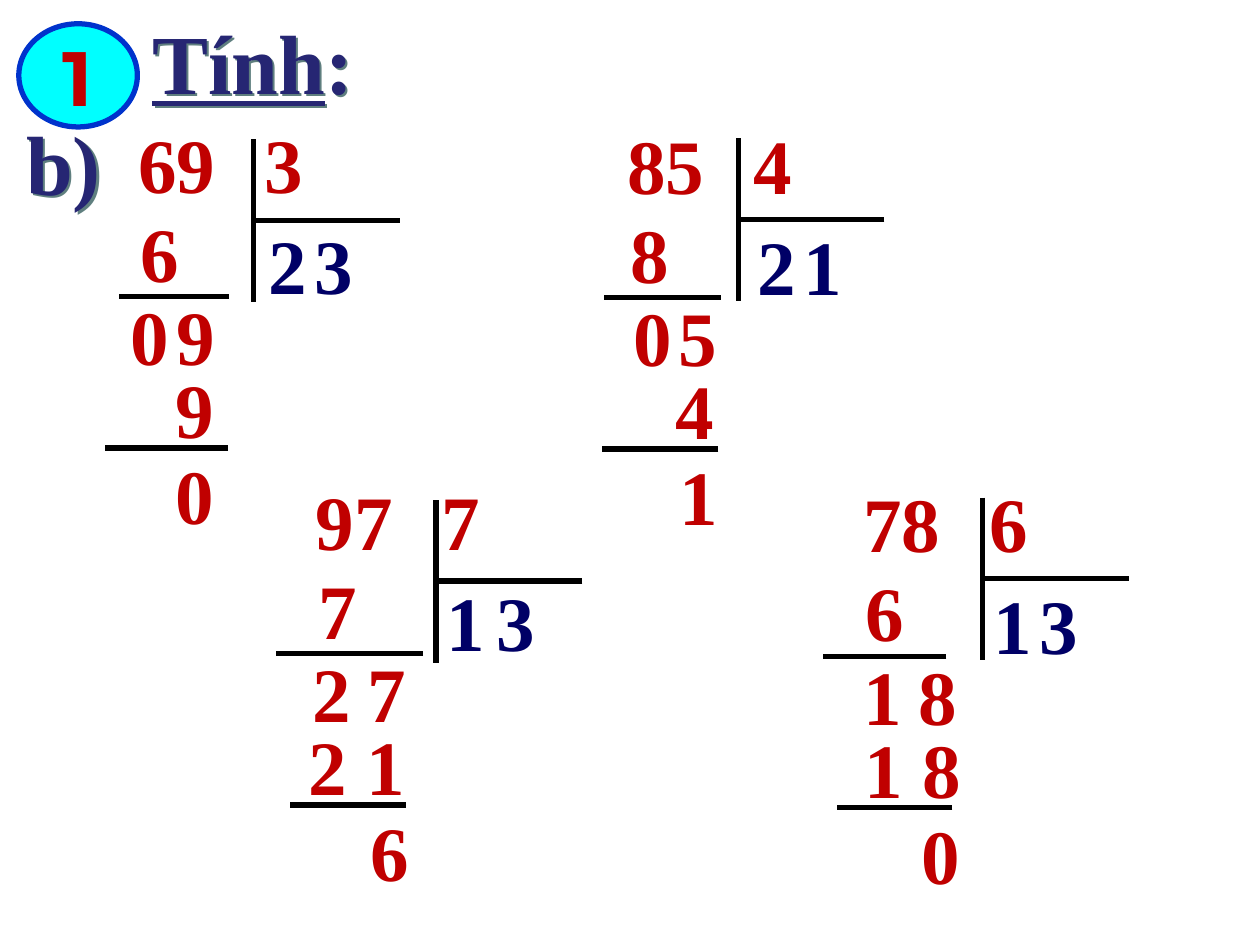
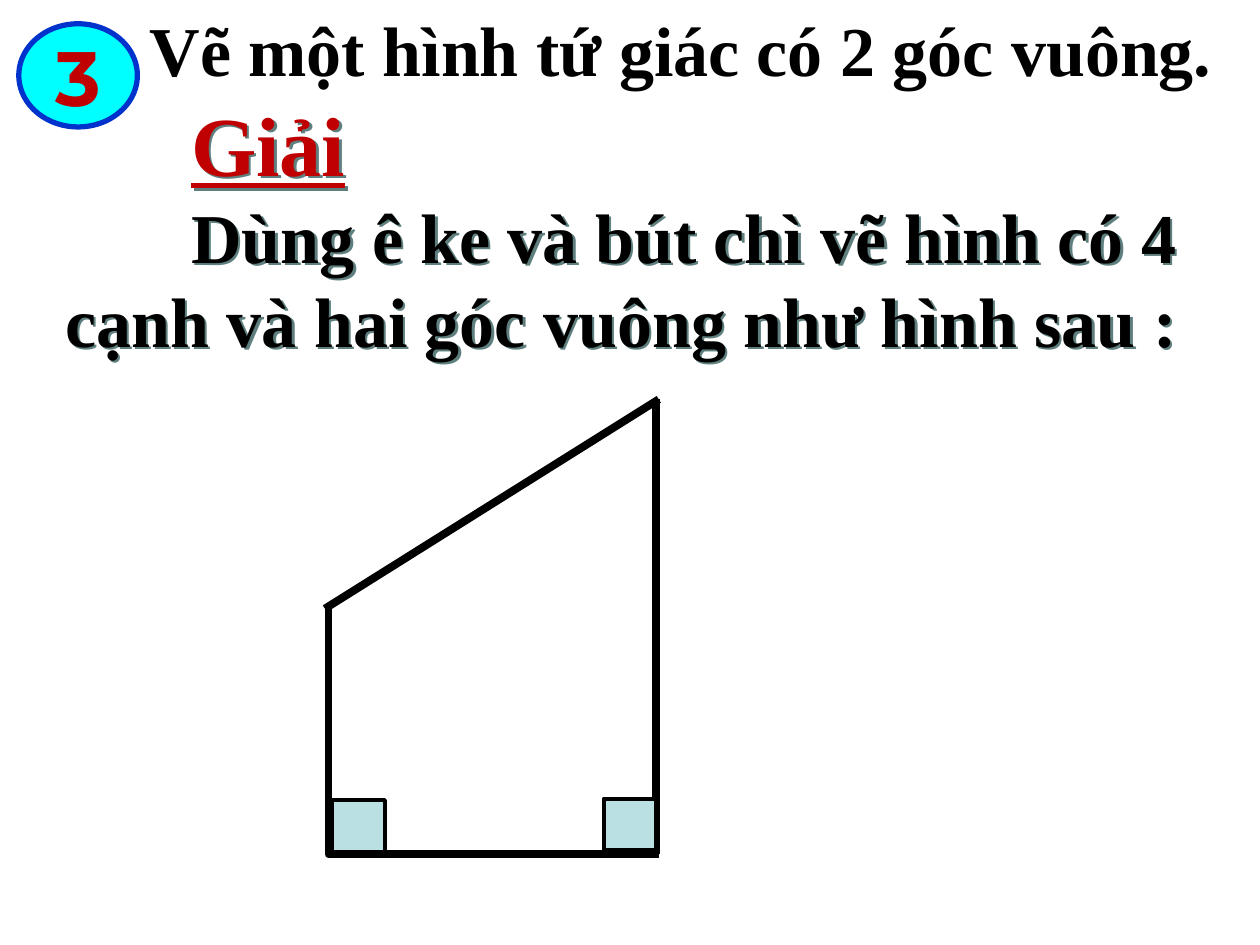
from dataclasses import dataclass

from lxml import etree
from pptx import Presentation
from pptx.dml.color import RGBColor
from pptx.enum import shapes, text
from pptx.oxml.ns import qn
from pptx.util import Cm, Pt

BLACK = RGBColor(0x00, 0x00, 0x00)
RED = RGBColor(0xC0, 0x00, 0x00)
NAVY = RGBColor(0x00, 0x00, 0x66)
INDIGO = RGBColor(0x26, 0x26, 0x73)
CYAN = RGBColor(0x00, 0xFF, 0xFF)
BLUE = RGBColor(0x00, 0x33, 0xCC)
PALE = RGBColor(0xBB, 0xE0, 0xE3)
SHADOW = "5F7F7F"
SERIF, BADGE_FONT = "Times New Roman", "Montserrat"

WIDE, DIGIT, LINE_HEIGHT = 8.69, 2.34, 2.13
SPACE = 0.39
COLUMN = 3.32  # from the start of a line to the divisor or the quotient
RULE_ROWS = (3.76, 6.81)


@dataclass
class Division:
    """A long division; x, y is the top left of the dividend's text box.

    Tens and last steps are (text, left, indent in spaces).
    """
    x: float
    y: float
    bar: tuple
    given: str
    quotient: tuple
    quotient_ones: float
    product: str
    tens: tuple
    ones: tuple
    second: tuple
    rest: tuple
    rules: tuple


DIVISIONS = [
    Division(2.54, 2.22, (5.11, 2.81), "69\t3", ("2", "3"), 5.56, "6",
             ("0", 2.39, 0), ("9", 2.77), ("9", 2.11, 3), ("0", 2.51, 2),
             ((2.39, 4.62), (2.11, 4.6))),
    Division(12.4, 2.24, (14.88, 2.79), "85\t4", ("2", "1"), 15.42, "8",
             ("0", 12.14, 1), ("5", 12.9), ("4", 12.19, 3), ("1", 12.67, 2),
             ((12.17, 14.53), (12.14, 14.48))),
    Division(6.12, 9.42, (8.79, 10.08), "97\t7", ("1", "3"), 9.22, "7",
             ("2", 6.05, 0), ("7", 6.63), ("2 1", 5.59, 1), ("6", 6.43, 2),
             ((5.56, 8.53), (5.84, 8.18))),
    Division(17.15, 9.47, (19.81, 10.03), "78\t6", ("1", "3"), 20.17, "6",
             ("1", 16.38, 2), ("8", 17.73), ("1 8", 16.79, 1), ("0", 17.55, 2),
             ((16.59, 19.08), (16.87, 19.2))),
]


class Lesson:
    def __init__(self, prs):
        self.prs = prs
        self.s = None

    def new_slide(self):
        self.s = self.prs.slides.add_slide(self.prs.slide_layouts[6])

    def badge(self, number):
        sp = self.shape(shapes.MSO_SHAPE.OVAL, 0.38, 0.48, 2.39, 2.08, CYAN, BLUE, 3)
        tf = sp.text_frame
        tf.word_wrap = True
        tf.vertical_anchor = text.MSO_ANCHOR.MIDDLE
        p = tf.paragraphs[0]
        p.alignment = text.PP_ALIGN.CENTER
        p.add_run().text = number
        self.font(p.font, 44, RED, BADGE_FONT)

    def font(self, font, size, color, name=SERIF):
        font.name, font.size, font.bold = name, Pt(size), True
        font.color.rgb = color

    def shape(self, kind, x, y, w, h, fill, line, weight):
        sp = self.s.shapes.add_shape(kind, Cm(x), Cm(y), Cm(w), Cm(h))
        sp.shadow.inherit = False
        sp.fill.solid()
        sp.fill.fore_color.rgb = fill
        sp.line.color.rgb = line
        sp.line.width = Pt(weight)
        return sp

    def line(self, start, end, weight=3, kind=shapes.MSO_CONNECTOR.STRAIGHT):
        c = self.s.shapes.add_connector(kind, *(Cm(v) for v in (*start, *end)))
        c.line.color.rgb = BLACK
        c.line.width = Pt(weight)
        etree.SubElement(c._element.spPr, qn("a:effectLst"))
        return c

    def box(self, x, y, w, h, anchor=text.MSO_ANCHOR.TOP, shadow=False):
        sp = self.s.shapes.add_textbox(Cm(x), Cm(y), Cm(w), Cm(h))
        if shadow:
            effects = etree.SubElement(sp._element.spPr, qn("a:effectLst"))
            outer = etree.SubElement(effects, qn("a:outerShdw"), dist="25400",
                                     dir="2700000", algn="tl", rotWithShape="0")
            etree.SubElement(outer, qn("a:srgbClr"), val=SHADOW)
        tf = sp.text_frame
        tf.word_wrap = True
        tf.vertical_anchor = anchor
        return tf

    def paragraph(self, p, runs, size, color, indent=0):
        """Fill p with (text, underlined) runs."""
        self.font(p.font, size, color)
        p._p.get_or_add_pPr().set("indent", str(Cm(indent)))
        for words, underlined in runs:
            r = p.add_run()
            r.text = words
            r.font.underline = underlined

    def digits(self, words, x, y, w=WIDE, color=RED, indent=0):
        p = self.box(x, y, w, LINE_HEIGHT).paragraphs[0]
        self.paragraph(p, [(words, False)], 44, color, indent)
        return p

    def digit(self, words, x, y, color=RED):
        self.digits(words, x, y, DIGIT, color).alignment = text.PP_ALIGN.CENTER

    def tab_stop(self, p, position):
        tabs = etree.Element(qn("a:tabLst"))
        etree.SubElement(tabs, qn("a:tab"), pos=str(Cm(position)), algn="l")
        p._p.pPr.find(qn("a:defRPr")).addprevious(tabs)

    def division(self, d):
        self.tab_stop(self.digits(d.given, d.x, d.y), COLUMN)
        first, second = d.quotient
        self.digits(first, d.x - 0.69, d.y + 2.04, color=NAVY, indent=COLUMN)
        self.digit(second, d.quotient_ones, d.y + 2.04, NAVY)
        self.digit(d.product, d.x - 0.48, d.y + 1.79)
        self.digit(*d.ones, d.y + 3.47)
        for step, dy, w in ((d.tens, 3.47, WIDE), (d.second, 4.95, 3.56),
                            (d.rest, 6.68, 2.54)):
            words, left, spaces = step
            self.digits(words, left, d.y + dy, w, indent=spaces * SPACE)
        x, top = d.bar
        self.line((x, top), (x, top + 3.28))
        self.line((x + 2.95, top + 1.63), (x, top + 1.63))
        for (left, right), dy in zip(d.rules, RULE_ROWS):
            self.line((right, d.y + dy), (left, d.y + dy))


def division_slide(lesson):
    lesson.new_slide()
    tf = lesson.box(0.28, 0.08, 7.09, 4.32, text.MSO_ANCHOR.MIDDLE, True)
    lesson.paragraph(tf.paragraphs[0], [("Tính", True), (":", False)],
                     48, INDIGO, 2.54)
    lesson.paragraph(tf.add_paragraph(), [("b)", False)], 48, INDIGO)
    lesson.badge("1")
    for d in DIVISIONS:
        lesson.division(d)


def quadrilateral_slide(lesson):
    lesson.new_slide()
    tf = lesson.box(1.07, 1.73, 24.33, 5.69, text.MSO_ANCHOR.MIDDLE, True)
    lesson.paragraph(tf.paragraphs[0], [("Giải", True)], 48, RED, 2.54)
    answer = "Dùng ê ke và bút chì vẽ hình có 4 cạnh và hai góc vuông như hình sau :"
    lesson.paragraph(tf.add_paragraph(), [(answer, False)], 40, BLACK, 2.54)
    lesson.badge("3")
    tf = lesson.box(2.77, 0, 22.63, 1.96)
    lesson.paragraph(tf.paragraphs[0],
                     [("Vẽ một hình tứ giác có 2 góc vuông.", False)], 40, BLACK)

    left_and_base = lesson.line((6.55, 12.27), (13.28, 17.22), 4.5,
                                shapes.MSO_CONNECTOR.ELBOW)
    geometry = left_and_base._element.spPr.find(qn("a:prstGeom"))
    etree.SubElement(geometry.find(qn("a:avLst")), qn("a:gd"),
                     name="adj1", fmla="val 1100")
    lesson.line((13.23, 8.05), (13.23, 17.22), 4.5)
    lesson.line((13.28, 8.05), (6.55, 12.27), 4.5)
    for x, y in ((6.7, 16.13), (12.17, 16.1)):
        lesson.shape(shapes.MSO_SHAPE.RECTANGLE, x, y, 1.06, 1.04, PALE, BLACK, 2.25)


def main():
    prs = Presentation()
    prs.slide_width, prs.slide_height = Cm(25.4), Cm(19.05)
    lesson = Lesson(prs)
    division_slide(lesson)
    quadrilateral_slide(lesson)
    prs.save("out.pptx")


if __name__ == "__main__":
    main()
